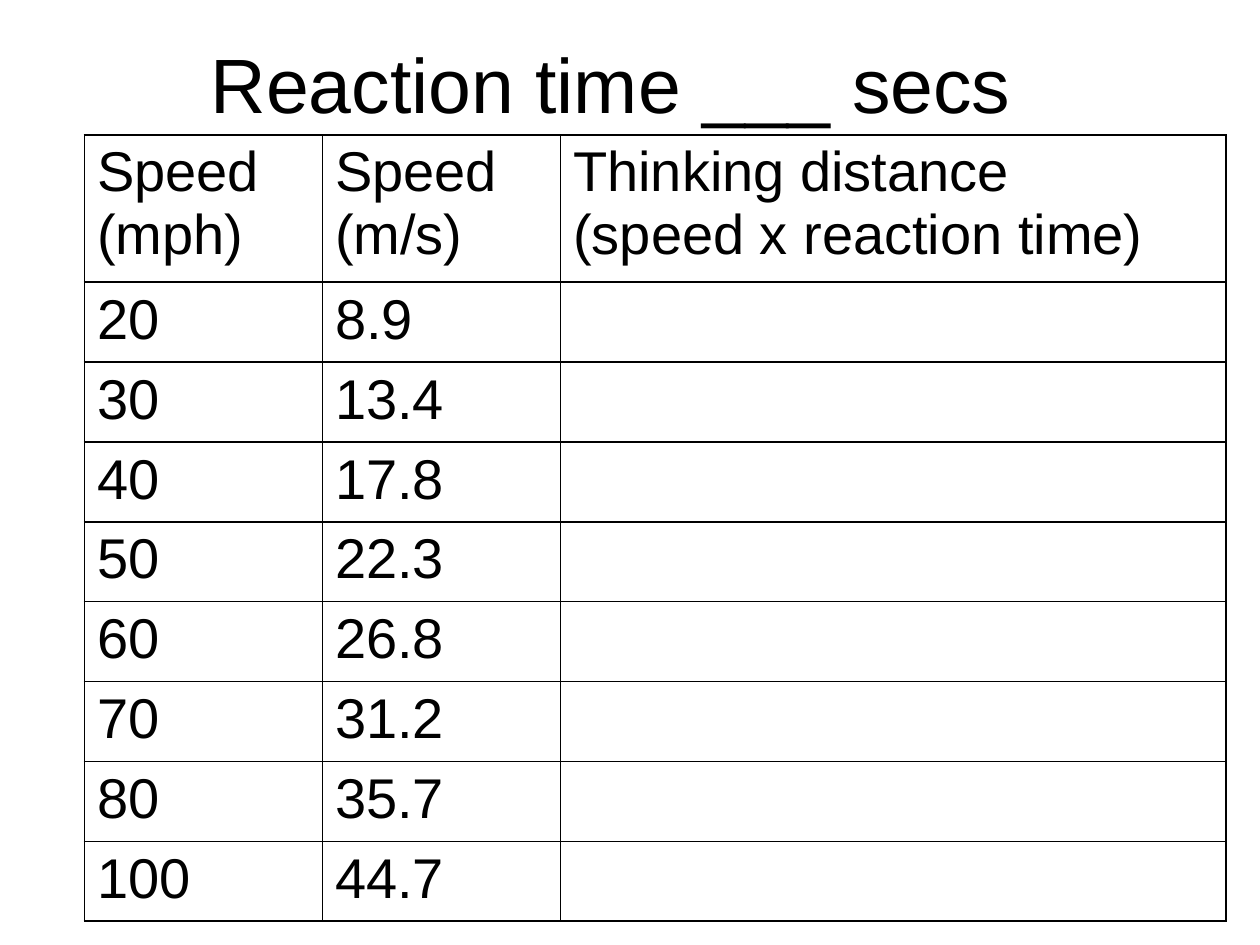
from lxml import etree
from pptx import Presentation
from pptx import util as u
from pptx.dml.color import RGBColor
from pptx.enum import text
from pptx.oxml.ns import qn

FONT = "Arial"
BLACK = "000000"
HEADERS = ["Speed (mph)", "Speed (m/s)", "Thinking distance\n(speed x reaction time)"]
SPEEDS = [
    ("20", "8.9"), ("30", "13.4"), ("40", "17.8"), ("50", "22.3"),
    ("60", "26.8"), ("70", "31.2"), ("80", "35.7"), ("100", "44.7"),
]
COL_WIDTHS = [1.89, 1.89, 5.28]
HEADER_HEIGHT, ROW_HEIGHT = 1.17, 0.63


def color(value):
    return RGBColor.from_string(value)


def write(tf, content, size, fill=BLACK, align=text.PP_ALIGN.LEFT):
    tf.text = content
    for p in tf.paragraphs:
        p.alignment = align
        p.font.size = u.Pt(size)
        for r in p.runs:
            r.font.name = FONT
            r.font.size = u.Pt(size)
            r.font.color.rgb = color(fill)


def add_title(s, content, left, top, width, height):
    tf = s.shapes.add_textbox(*map(u.Inches, (left, top, width, height))).text_frame
    tf.word_wrap = True
    tf.vertical_anchor = text.MSO_ANCHOR.MIDDLE
    write(tf, content, size=44, align=text.PP_ALIGN.CENTER)


def set_borders(cell, line=BLACK, width=1):
    tc_pr = cell._tc.get_or_add_tcPr()
    for side in ("L", "R", "T", "B"):
        ln = etree.SubElement(tc_pr, qn(f"a:ln{side}"), w=str(u.Pt(width)))
        fill = etree.SubElement(ln, qn("a:solidFill"))
        etree.SubElement(fill, qn("a:srgbClr"), val=line)


def add_grid(s, rows, left, top):
    heights = [HEADER_HEIGHT] + [ROW_HEIGHT] * (len(rows) - 1)
    frame = s.shapes.add_table(
        len(rows), len(COL_WIDTHS), u.Inches(left), u.Inches(top),
        u.Inches(sum(COL_WIDTHS)), u.Inches(sum(heights)))
    table = frame.table
    table.first_row = table.horz_banding = False
    for col, width in zip(table.columns, COL_WIDTHS):
        col.width = u.Inches(width)
    for row, height, values in zip(table.rows, heights, rows):
        row.height = u.Inches(height)
        for cell, value in zip(row.cells, values):
            set_borders(cell)
            cell.fill.background()
            write(cell.text_frame, value, size=32)


def main():
    prs = Presentation()
    prs.slide_width, prs.slide_height = u.Inches(10), u.Inches(7.5)
    s = prs.slides.add_slide(prs.slide_layouts[6])
    add_title(s, "Reaction time ___ secs", 0.35, 0.03, 9, 1.25)
    add_grid(s, [HEADERS] + [(mph, ms, "") for mph, ms in SPEEDS], 0.67, 1.07)
    prs.save("out.pptx")


if __name__ == "__main__":
    main()
